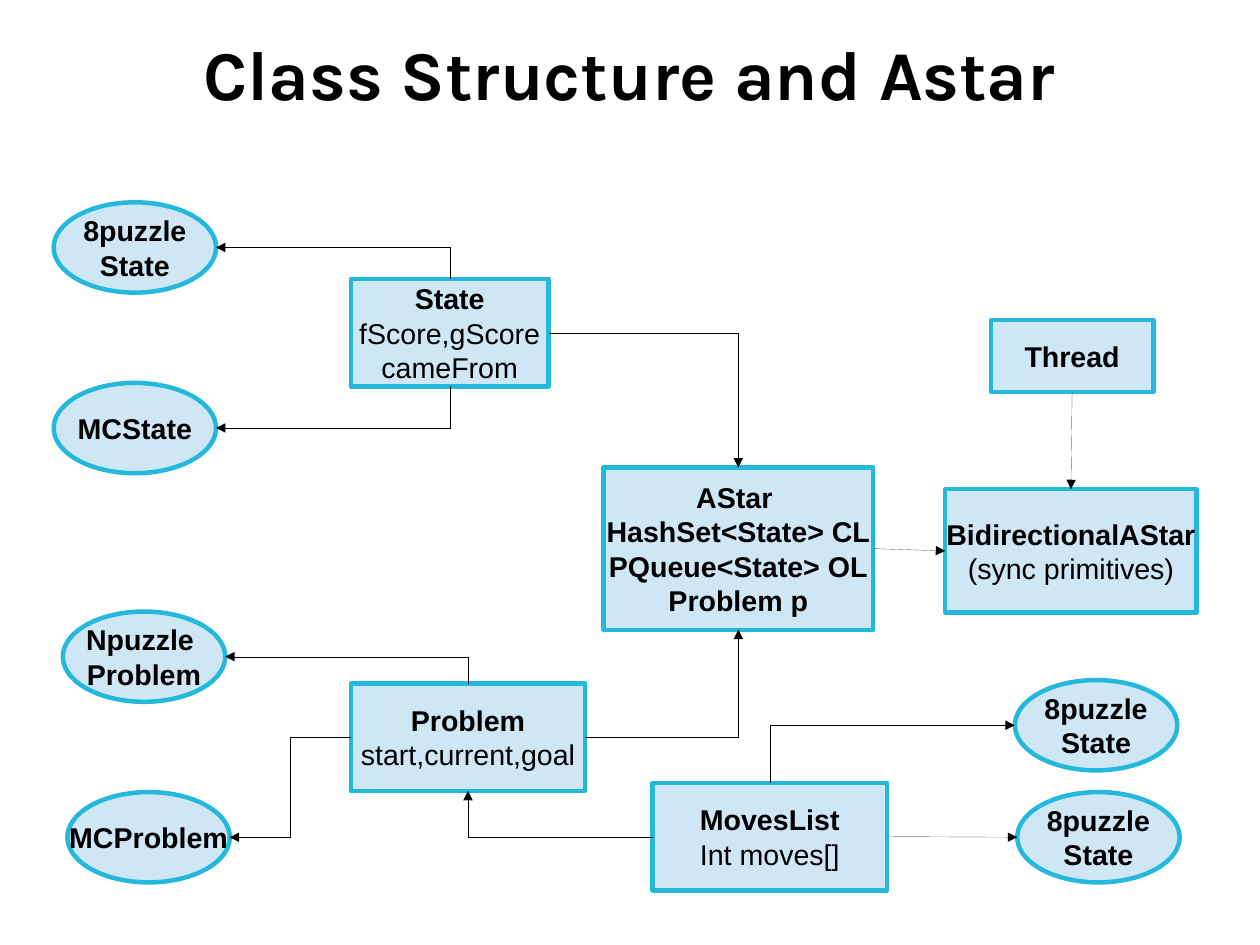
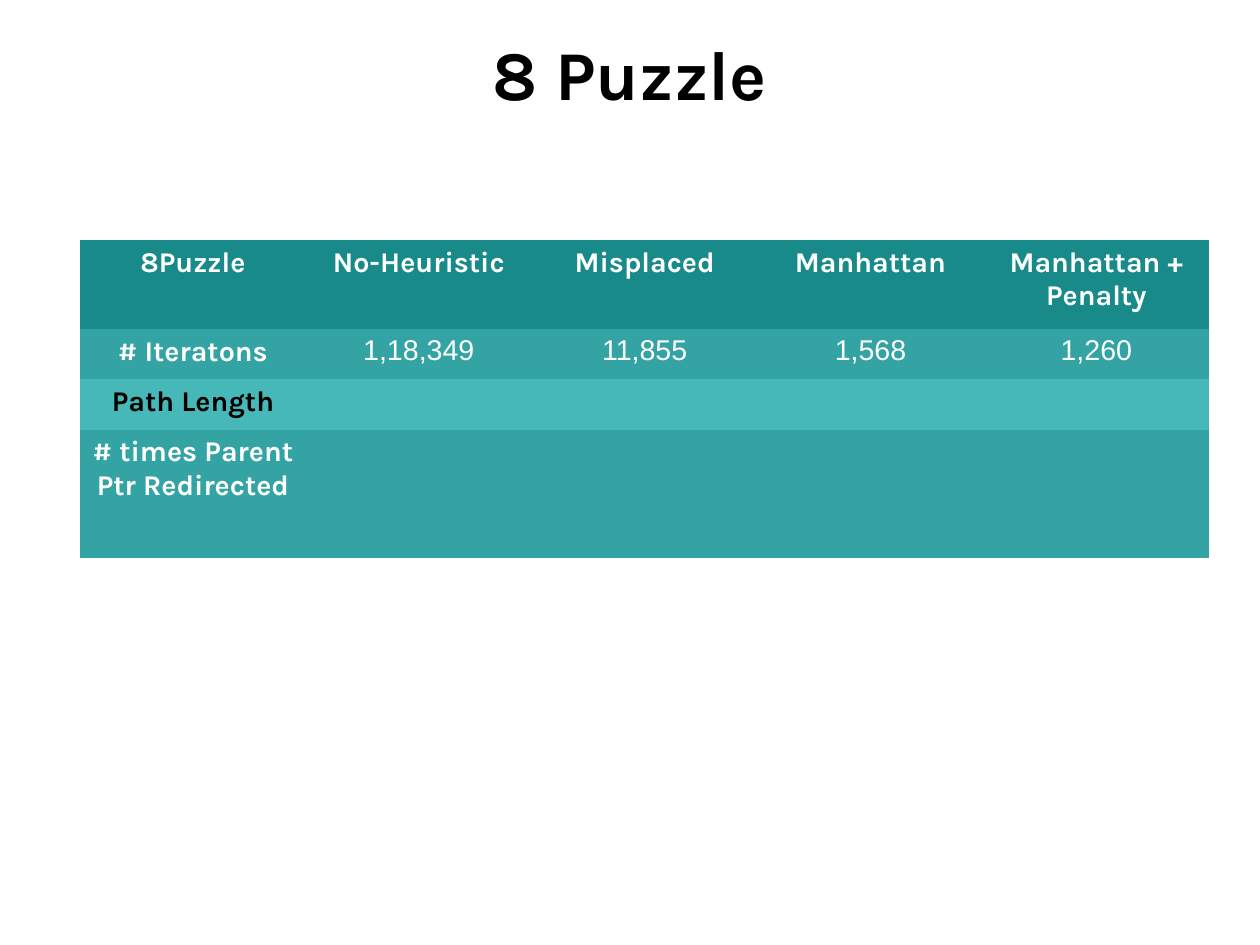
from lxml import etree
from pptx import Presentation, util as u
from pptx.dml.color import RGBColor
from pptx.enum import shapes, text
from pptx.oxml.ns import qn

COLORS = {
    "ink": "000000",
    "white": "FFFFFF",
    "node": "CFE7F5",
    "outline": "23B8DC",
    "header": "198A8A",
    "odd_row": "33A3A3",
    "even_row": "47B8B8",
}
HEADING_FONT, BODY_FONT = "Karla", "Arial"
PLAIN_TABLE_STYLE = "{2D5ABB26-0587-4C30-8999-92F81FD0307C}"
TOP, LEFT, BOTTOM, RIGHT = range(4)
BOX, OVAL = shapes.MSO_SHAPE.RECTANGLE, shapes.MSO_SHAPE.OVAL
OVAL_SIZE = (1.42, 0.79)

NODES = {
    "state": (BOX, 3.07, 2.44, 1.73, 0.94, ["State", "fScore,gScore", "cameFrom"], 1),
    "problem": (BOX, 3.07, 5.98, 2.05, 0.94, ["Problem", "start,current,goal"], 1),
    "mc_state": (OVAL, 0.47, 3.35, *OVAL_SIZE, ["MCState"], 1),
    "mc_problem": (OVAL, 0.59, 6.93, *OVAL_SIZE, ["MCProblem"], 1),
    "puzzle_problem": (OVAL, 0.55, 5.35, *OVAL_SIZE, ["Npuzzle ", "Problem"], 2),
    "puzzle_state": (OVAL, 0.47, 1.77, *OVAL_SIZE, ["8puzzle", "State"], 2),
    "bidirectional": (BOX, 8.27, 4.28, 2.2, 1.08,
                      ["BidirectionalAStar", "(sync primitives)"], 1),
    "thread": (BOX, 8.67, 2.8, 1.42, 0.63, ["Thread"], 1),
    "astar": (BOX, 5.28, 4.09, 2.36, 1.42,
              ["AStar ", "HashSet<State> CL", "PQueue<State> OL", "Problem p"], 4),
    "moves": (BOX, 5.71, 6.85, 2.05, 0.94, ["MovesList", "Int moves[]"], 1),
    "upper_move": (OVAL, 8.88, 5.95, *OVAL_SIZE, ["8puzzle", "State"], 2),
    "lower_move": (OVAL, 8.9, 6.93, *OVAL_SIZE, ["8puzzle", "State"], 2),
}
ARROWS = [
    ("astar", RIGHT, "bidirectional", LEFT, "line"),
    ("thread", BOTTOM, "bidirectional", TOP, "line"),
    ("state", RIGHT, "astar", TOP, "bentConnector2"),
    ("problem", RIGHT, "astar", BOTTOM, "bentConnector2"),
    ("moves", LEFT, "problem", BOTTOM, "bentConnector2"),
    ("state", TOP, "puzzle_state", RIGHT, "bentConnector2"),
    ("state", BOTTOM, "mc_state", RIGHT, "bentConnector2"),
    ("problem", TOP, "puzzle_problem", RIGHT, "bentConnector2"),
    ("problem", LEFT, "mc_problem", RIGHT, "bentConnector3"),
    ("moves", TOP, "upper_move", LEFT, "bentConnector2"),
    ("moves", RIGHT, "lower_move", LEFT, "line"),
]
RESULTS = [
    ["8Puzzle", "No-Heuristic", "Misplaced", "Manhattan", "Manhattan + Penalty"],
    ["# Iteratons", "1,18,349", "11,855", "1,568", "1,260"],
    ["Path Length", "", "", "", ""],
    ["# times Parent Ptr Redirected", "", "", "", ""],
]
ROW_STYLES = [
    (0.78, "header", "white"),
    (0.44, "odd_row", "white"),
    (0.44, "even_row", "ink"),
    (1.12, "odd_row", "white"),
]


def rgb(name):
    return RGBColor.from_string(COLORS[name])


def write_text(frame, lines, size=18, font=BODY_FONT, color="ink", bold_lines=0):
    for index, line in enumerate(lines):
        paragraph = frame.paragraphs[0] if index == 0 else frame.add_paragraph()
        paragraph.alignment = text.PP_ALIGN.CENTER
        run = paragraph.add_run()
        run.text = line
        run.font.size = u.Pt(size)
        run.font.name = font
        run.font.bold = index < bold_lines
        run.font.color.rgb = rgb(color)


def set_frame(frame, side, end, wrap):
    frame.margin_left = frame.margin_right = u.Inches(side)
    frame.margin_top = frame.margin_bottom = u.Inches(end)
    frame.vertical_anchor = text.MSO_ANCHOR.MIDDLE
    frame.word_wrap = wrap


def add_titled_slide(deck, title):
    slide = deck.slides.add_slide(deck.slide_layouts[6])
    heading = slide.shapes.add_textbox(*map(u.Inches, (0.55, 0.22, 9.92, 0.83)))
    set_frame(heading.text_frame, 0, 0, True)
    write_text(heading.text_frame, [title], size=44, font=HEADING_FONT, bold_lines=1)
    return slide


def add_node(slide, outline, left, top, width, height, lines, bold_lines):
    node = slide.shapes.add_shape(outline, *map(u.Inches, (left, top, width, height)))
    node.shadow.inherit = False
    node.fill.solid()
    node.fill.fore_color.rgb = rgb("node")
    node.line.color.rgb = rgb("outline")
    node.line.width = u.Pt(2.83)
    set_frame(node.text_frame, 0.12, 0.07, False)
    write_text(node.text_frame, lines, bold_lines=bold_lines)
    return node


def add_arrow(slide, source, source_side, target, target_side, route):
    ends = [(source, source_side), (target, target_side)]
    arrow_end = "a:tailEnd"
    if route == "bentConnector2" and source_side in (TOP, BOTTOM):
        ends.reverse()
        arrow_end = "a:headEnd"
    arrow = slide.shapes.add_connector(shapes.MSO_CONNECTOR.STRAIGHT, 0, 0, 0, 0)
    arrow.begin_connect(*ends[0])
    arrow.end_connect(*ends[1])
    for (node, side), tag in zip(ends, ("a:stCxn", "a:endCxn")):
        if node.auto_shape_type == OVAL:
            joint = next(arrow.element.iter(qn(tag)))
            joint.set("idx", str(2 * side))
    next(arrow.element.iter(qn("a:prstGeom"))).set("prst", route)
    arrow.line.color.rgb = rgb("ink")
    properties = arrow.element.spPr
    stroke = properties.find(qn("a:ln"))
    stroke.set("w", "0")
    etree.SubElement(stroke, qn(arrow_end), type="triangle")
    etree.SubElement(properties, qn("a:effectLst"))


def add_results(slide):
    frame = slide.shapes.add_table(
        len(RESULTS), len(RESULTS[0]), *map(u.Inches, (0.7, 2.1, 9.88, 2.78)))
    table = frame.table
    next(frame.element.iter(qn("a:tableStyleId"))).text = PLAIN_TABLE_STYLE
    for row, values, (height, fill, color) in zip(table.rows, RESULTS, ROW_STYLES):
        row.height = u.Inches(height)
        for column, (cell, value) in enumerate(zip(row.cells, values)):
            cell.fill.solid()
            cell.fill.fore_color.rgb = rgb(fill)
            if value:
                label = column == 0 or fill == "header"
                write_text(cell.text_frame, [value], color=color, bold_lines=int(label),
                           font=HEADING_FONT if label else BODY_FONT)


def main():
    deck = Presentation()
    deck.slide_width = u.Cm(28)
    deck.slide_height = u.Cm(21)

    structure = add_titled_slide(deck, "Class Structure and Astar")
    nodes = {name: add_node(structure, *layout) for name, layout in NODES.items()}
    for source, source_side, target, target_side, route in ARROWS:
        add_arrow(structure, nodes[source], source_side, nodes[target], target_side, route)

    add_results(add_titled_slide(deck, "8 Puzzle"))
    deck.save("out.pptx")


if __name__ == "__main__":
    main()
